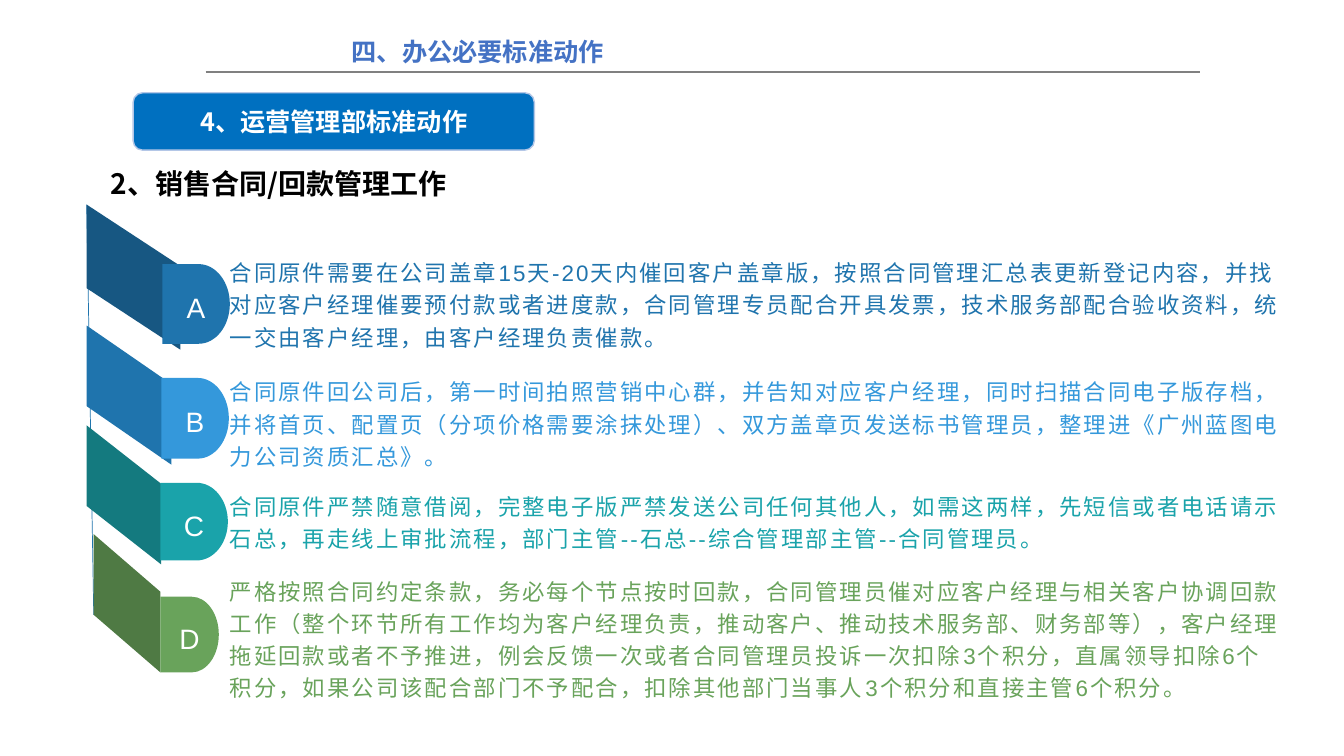
from lxml.etree import SubElement
from pptx import Presentation
from pptx.dml.color import RGBColor
from pptx.enum.shapes import MSO_CONNECTOR, MSO_SHAPE
from pptx.enum.text import MSO_ANCHOR, MSO_AUTO_SIZE, PP_ALIGN
from pptx.oxml.ns import qn
from pptx.util import Inches, Pt

CJK_FONT = "Noto Sans CJK SC"
ARC_PULL = 0.55
COLORS = {
    "heading": "4472C4", "rule": "808080", "banner": "0070C0",
    "banner_edge": "B4C7E7", "black": "000000", "white": "FFFFFF",
    "navy": "175782", "blue": "1F74AD", "sky": "3498DB",
    "deep_teal": "147A7F", "teal": "1AA3AA",
    "deep_green": "4F7A44", "green": "69A35B",
}

STEPS = [
    ("B", "blue", "sky", (0.86, 3.23, 0.84, 0.58, 0.8), (1.6, 3.75, 0.67, 0.8), (2.18, 3.67, 10.67, 1.02),
     "合同原件回公司后，第一时间拍照营销中心群，并告知对应客户经理，同时扫描合同电子版存档，"
     "并将首页、配置页（分项价格需要涂抹处理）、双方盖章页发送标书管理员，整理进《广州蓝图电力公司资质汇总》。"),
    ("C", "deep_teal", "teal", (0.86, 4.22, 0.74, 0.58, 0.8), (1.59, 4.79, 0.67, 0.77), (2.18, 4.67, 10.67, 0.98),
     "合同原件严禁随意借阅，完整电子版严禁发送公司任何其他人，如需这两样，先短信或者电话请示石总，"
     "再走线上审批流程，部门主管--石总--综合管理部主管--合同管理员。"),
    ("D", "deep_green", "green", (0.93, 5.3, 0.66, 0.57, 0.8), (1.59, 5.92, 0.58, 0.75), (2.18, 5.59, 10.67, 1.46),
     "严格按照合同约定条款，务必每个节点按时回款，合同管理员催对应客户经理与相关客户协调回款工作"
     "（整个环节所有工作均为客户经理负责，推动客户、推动技术服务部、财务部等），客户经理拖延回款或者不予推进，"
     "例会反馈一次或者合同管理员投诉一次扣除3个积分，直属领导扣除6个积分，"
     "如果公司该配合部门不予配合，扣除其他部门当事人3个积分和直接主管6个积分。"),
    ("A", "navy", "blue", (0.86, 2.03, 0.93, 0.61, 0.83), (1.61, 2.62, 0.67, 0.79), (2.18, 2.33, 10.67, 1.34),
     "合同原件需要在公司盖章15天-20天内催回客户盖章版，按照合同管理汇总表更新登记内容，"
     "并找对应客户经理催要预付款或者进度款，合同管理专员配合开具发票，技术服务部配合验收资料，"
     "统一交由客户经理，由客户经理负责催款。"),
]


def rgb(color):
    return RGBColor.from_string(COLORS[color])


def write(frame, wording, size, color, font="Arial", bold=False, align=None, spacing=None, tracking=None):
    frame.text = wording
    paragraph = frame.paragraphs[0]
    paragraph.alignment = align
    paragraph.line_spacing = spacing
    run = paragraph.runs[0]
    run.font.size = Pt(size)
    run.font.name = font
    run.font.bold = bold
    run.font.color.rgb = rgb(color)
    properties = run.font._element
    SubElement(properties, qn("a:ea")).set("typeface", CJK_FONT)
    if tracking:
        properties.set("spc", str(round(tracking * 100)))


def add_label(slide, box, wording, size, color, wrap=True, grow=False, **style):
    label = slide.shapes.add_textbox(*map(Inches, box)).text_frame
    label.word_wrap = wrap
    label.auto_size = MSO_AUTO_SIZE.SHAPE_TO_FIT_TEXT if grow else MSO_AUTO_SIZE.NONE
    label.vertical_anchor = MSO_ANCHOR.TOP if grow else MSO_ANCHOR.MIDDLE
    write(label, wording, size, color, **style)


def add_rule(slide, start, end, color, width):
    rule = slide.shapes.add_connector(MSO_CONNECTOR.STRAIGHT, *map(Inches, start + end))
    rule.line.color.rgb = rgb(color)
    rule.line.width = Pt(width)
    SubElement(rule._element.spPr, qn("a:effectLst"))


def add_outline(slide, points, color):
    corners = [(Inches(x), Inches(y)) for x, y in points]
    builder = slide.shapes.build_freeform(*corners[0])
    builder.add_line_segments(corners[1:], close=True)
    outline = builder.convert_to_shape()
    outline.shadow.inherit = False
    outline.fill.solid()
    outline.fill.fore_color.rgb = rgb(color)
    outline.line.fill.background()
    return outline


def bend(segment, controls):
    segment.tag = qn("a:cubicBezTo")
    for index, (x, y) in enumerate(controls):
        control = segment.makeelement(qn("a:pt"), {"x": str(Inches(x)), "y": str(Inches(y))})
        segment.insert(index, control)


def add_ribbon(slide, left, top, width, drop, thickness, color):
    right = left + width
    add_outline(slide, [(left, top), (right, top + drop),
                        (right, top + drop + thickness), (left, top + thickness)], color)


def add_tab(slide, box, color, letter):
    left, top, width, height = box
    straight = width * 0.54
    middle = height / 2
    tab = add_outline(slide, [(left, top), (left + straight, top), (left + width, top + middle),
                              (left + straight, top + height), (left, top + height)], color)
    pull_x = straight + (width - straight) * ARC_PULL
    pull_y = middle * ARC_PULL
    segments = list(tab._element.iter(qn("a:lnTo")))
    bend(segments[1], [(pull_x, 0), (width, middle - pull_y)])
    bend(segments[2], [(width, middle + pull_y), (pull_x, height)])
    tab.text_frame.vertical_anchor = MSO_ANCHOR.MIDDLE
    write(tab.text_frame, letter, 20, "white", align=PP_ALIGN.CENTER, spacing=1.2, tracking=3)


def add_header(slide, left, top, width):
    add_rule(slide, (left, top + 0.4), (left + width, top + 0.4), "rule", 1.5)
    add_label(slide, (left + 1.35, top, 2.7, 0.4), "四、办公必要标准动作", 18, "heading",
              wrap=False, grow=True, font=CJK_FONT, bold=True)


def add_section(slide, left, top):
    add_label(slide, (left, top + 0.68, 5.56, 0.44), "2、销售合同/回款管理工作", 20, "black",
              grow=True, font=CJK_FONT, bold=True)
    banner = slide.shapes.add_shape(MSO_SHAPE.ROUNDED_RECTANGLE,
                                    *map(Inches, (left + 0.32, top, 3.98, 0.57)))
    banner.shadow.inherit = False
    banner.fill.solid()
    banner.fill.fore_color.rgb = rgb("banner")
    banner.line.color.rgb = rgb("banner_edge")
    banner.line.width = Pt(1)
    banner.text_frame.vertical_anchor = MSO_ANCHOR.MIDDLE
    write(banner.text_frame, "4、运营管理部标准动作", 18, "white", font=CJK_FONT,
          bold=True, align=PP_ALIGN.CENTER)


def add_step(slide, letter, ribbon_color, tab_color, ribbon, tab_box, text_box, wording):
    add_ribbon(slide, *ribbon, ribbon_color)
    add_tab(slide, tab_box, tab_color, letter)
    add_label(slide, text_box, wording, 16, tab_color, spacing=1.2, tracking=1.5)


def main():
    deck = Presentation()
    deck.slide_width = Inches(13.33)
    deck.slide_height = Inches(7.5)
    slide = deck.slides.add_slide(deck.slide_layouts[6])
    add_header(slide, 2.04, 0.31, 9.86)
    add_section(slide, 1, 0.92)
    add_rule(slide, (0.86, 2.03), (0.93, 6.1), "blue", 0.5)
    for step in STEPS:
        add_step(slide, *step)
    deck.save("out.pptx")


if __name__ == "__main__":
    main()
